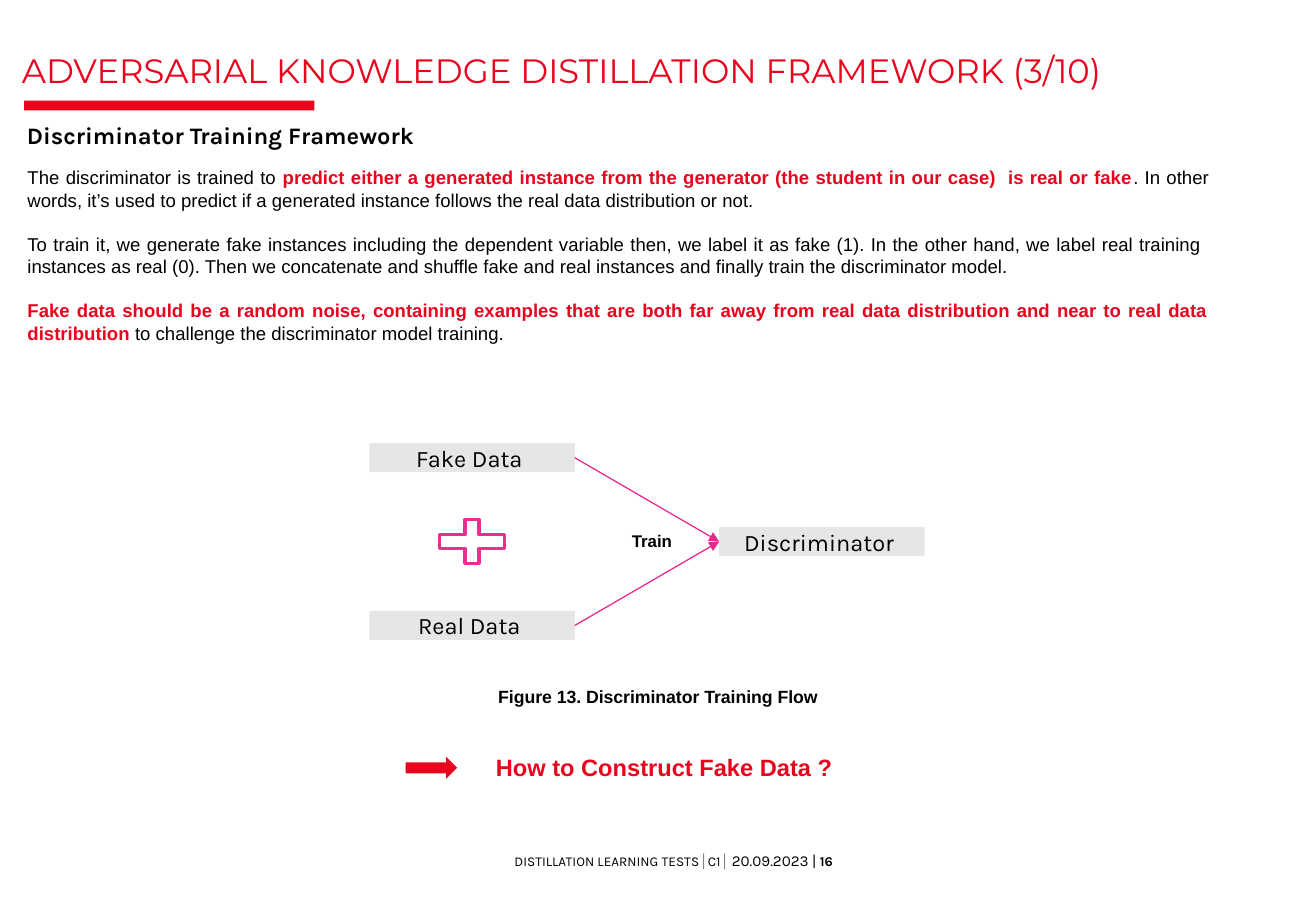
from pptx import Presentation
from pptx.dml.color import RGBColor
from pptx.enum.shapes import MSO_CONNECTOR, MSO_SHAPE
from pptx.enum.text import MSO_ANCHOR, PP_ALIGN
from pptx.oxml.ns import qn
from pptx.util import Pt
from lxml.etree import SubElement

RED = RGBColor(0xE9, 0x04, 0x1E)
INK = RGBColor(0x01, 0x01, 0x01)
BLACK = RGBColor(0, 0, 0)
GRAY = RGBColor(0x80, 0x80, 0x80)
PALE = RGBColor(0xE6, 0xE6, 0xE6)
WHITE = RGBColor(0xFF, 0xFF, 0xFF)
PINK = RGBColor(0xEB, 0x2D, 0x90)
ROSE = RGBColor(0xEA, 0x27, 0x8D)

# A run is (text, font, size, color, bold); a paragraph is a list of runs.
TITLE = [("ADVERSARIAL KNOWLEDGE DISTILLATION FRAMEWORK (3/10)",
          "Montserrat", 20, RED, False)]
HEAD = [("Discriminator Training Framework", "Karla", 14, INK, True)]
PLAIN = ("Arial", 11, BLACK, False)
STRONG = ("Arial", 11, RED, True)
BODY = [
    [("The discriminator is trained to ", *PLAIN),
     ("predict either a generated instance from the generator "
      "(the student in our case)  is real or fake", *STRONG),
     (". In other words, it’s used to predict if a generated instance "
      "follows the real data distribution or not.", *PLAIN)],
    [("To train it, we generate fake instances including the dependent "
      "variable then, we label it as fake (1). In the other hand, we label "
      "real training  instances as real (0). Then we concatenate and shuffle "
      "fake and real instances and finally train the discriminator model. ",
      *PLAIN)],
    [("Fake data should be a random noise, containing examples that are both "
      "far away from real data distribution and near to real data "
      "distribution", *STRONG),
     (" to challenge the discriminator model training. ", *PLAIN)],
]
TRAIN = [("Train", "Arial", 10, INK, True)]
CAPTION = [("Figure 13. Discriminator Training Flow ", "Arial", 10.5, INK, True)]
ASK = [("How to Construct Fake Data ? ", "Arial", 14, RED, True)]
FOOT = [
    ("DISTILLATION LEARNING TESTS", "Karla", 8, INK, False),
    ("│", "Karla", 8, GRAY, False),
    ("C1", "Karla", 8, INK, False),
    ("│ ", "Karla", 8, GRAY, False),
    ("20.09.2023 |", "Karla", 9, INK, False),
    (" 16 ", "Karla", 8, INK, True),
]

# Flow grid: two sources on the left, the model midway on the right.
LEFT, RIGHT, TOP, STEP = 219, 426.3, 262.7, 49.7
NODE_W, NODE_H = 121.7, 17.3
NODES = [("Fake Data ", LEFT, 0), ("Real Data ", LEFT, 2),
         ("Discriminator ", RIGHT, 1)]


def write(frame, paras, align=PP_ALIGN.LEFT, inset=0, gap=0, lead=None,
          anchor=MSO_ANCHOR.TOP):
    frame.word_wrap = True
    frame.vertical_anchor = anchor
    frame.margin_left = frame.margin_right = Pt(inset)
    frame.margin_top = frame.margin_bottom = Pt(min(inset, 3.6))
    for i, runs in enumerate(paras):
        para = frame.add_paragraph() if i else frame.paragraphs[0]
        para.alignment = align
        para.space_before = Pt(gap if i else 0)
        if lead:
            para.line_spacing = lead
        for text, face, size, color, bold in runs:
            run = para.add_run()
            run.text = text
            font = run.font
            font.name, font.size, font.bold = face, Pt(size), bold
            font.color.rgb = color


def label(box, paras, **style):
    area = slide.shapes.add_textbox(*map(Pt, box))
    write(area.text_frame, paras, **style)


def block(kind, box, fill, line=None):
    shape = slide.shapes.add_shape(kind, *map(Pt, box))
    shape.shadow.inherit = False
    shape.fill.solid()
    shape.fill.fore_color.rgb = fill
    if line:
        shape.line.color.rgb = line
        shape.line.width = Pt(2)
    else:
        shape.line.fill.background()
    return shape


def arrow(start, end):
    link = slide.shapes.add_connector(MSO_CONNECTOR.STRAIGHT, 0, 0, 0, 0)
    link.begin_connect(start, 3)
    link.end_connect(end, 1)
    link.line.color.rgb = ROSE
    link.line.width = Pt(0.75)
    SubElement(link.line._get_or_add_ln(), qn("a:tailEnd"), type="triangle")
    SubElement(link._element.spPr, qn("a:effectLst"))


deck = Presentation()
deck.slide_width, deck.slide_height = Pt(780), Pt(540)
slide = deck.slides.add_slide(deck.slide_layouts[5])

title = slide.shapes.title
title.left, title.top, title.width, title.height = map(Pt, (13, 34.6, 767, 18.7))
write(title.text_frame, [TITLE], lead=0.75, anchor=MSO_ANCHOR.BOTTOM)
block(MSO_SHAPE.RECTANGLE, (14.4, 59.6, 172, 5.8), RED)

label((13, 70.6, 260, 21), [HEAD], inset=3, lead=0.9)
label((9.2, 95, 714.5, 127.5), BODY, align=PP_ALIGN.JUSTIFY, inset=7.2, gap=13)

nodes = []
for name, x, row in NODES:
    node = block(MSO_SHAPE.RECTANGLE, (x, TOP + row * STEP, NODE_W, NODE_H), PALE)
    write(node.text_frame, [[(name, "Karla", 14, INK, False)]],
          align=PP_ALIGN.CENTER, anchor=MSO_ANCHOR.MIDDLE)
    nodes.append(node)
fake, real, model = nodes
arrow(fake, model)
arrow(real, model)
block(MSO_SHAPE.MATH_PLUS, (253.5, 303.3, 52.6, 35.3), WHITE, PINK)

label((371.5, 311.8, 41, 18), [TRAIN], inset=3)
label((255.6, 403.4, 272, 18.7), [CAPTION], align=PP_ALIGN.CENTER, inset=3)
label((193, 443.5, 405.4, 23), [ASK], align=PP_ALIGN.CENTER, inset=3)
block(MSO_SHAPE.RIGHT_ARROW, (240.5, 448.6, 30.5, 13), RED)
label((287.3, 504.7, 226, 10.8), [FOOT], align=PP_ALIGN.CENTER,
      anchor=MSO_ANCHOR.MIDDLE)

deck.save("out.pptx")
